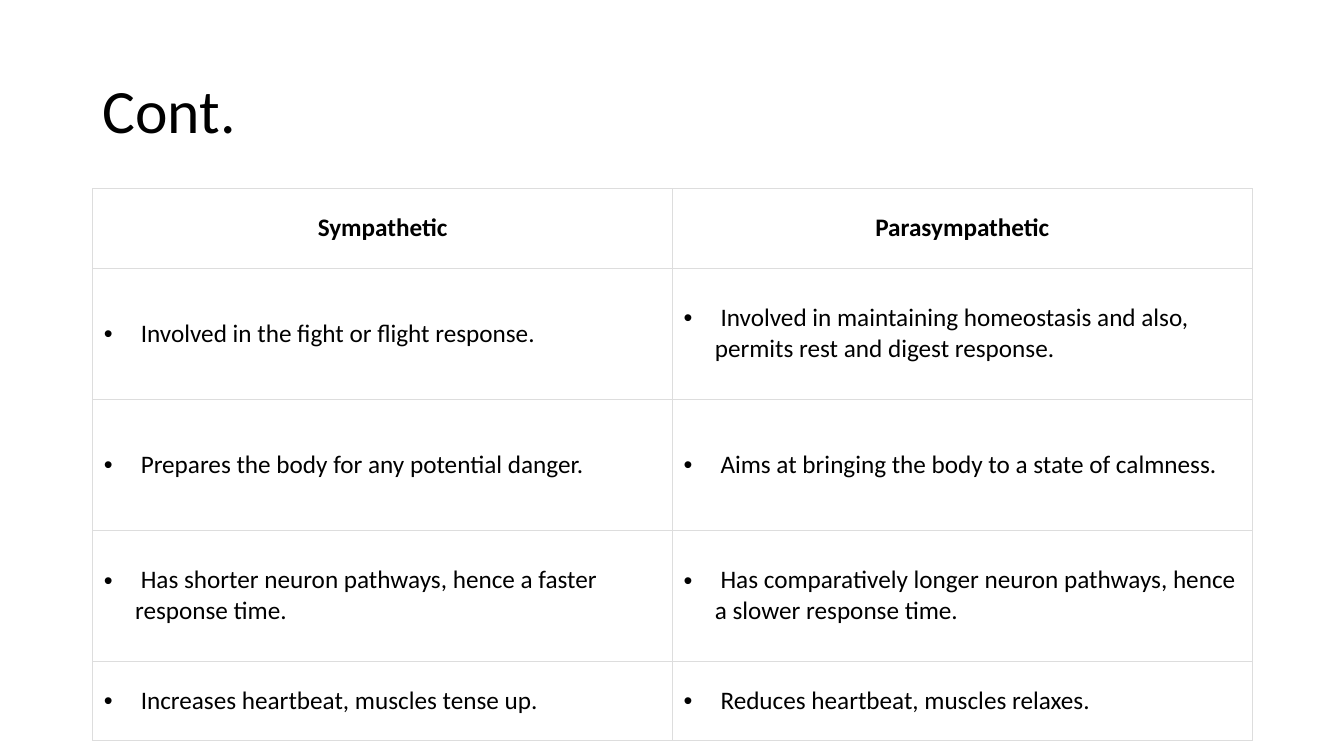
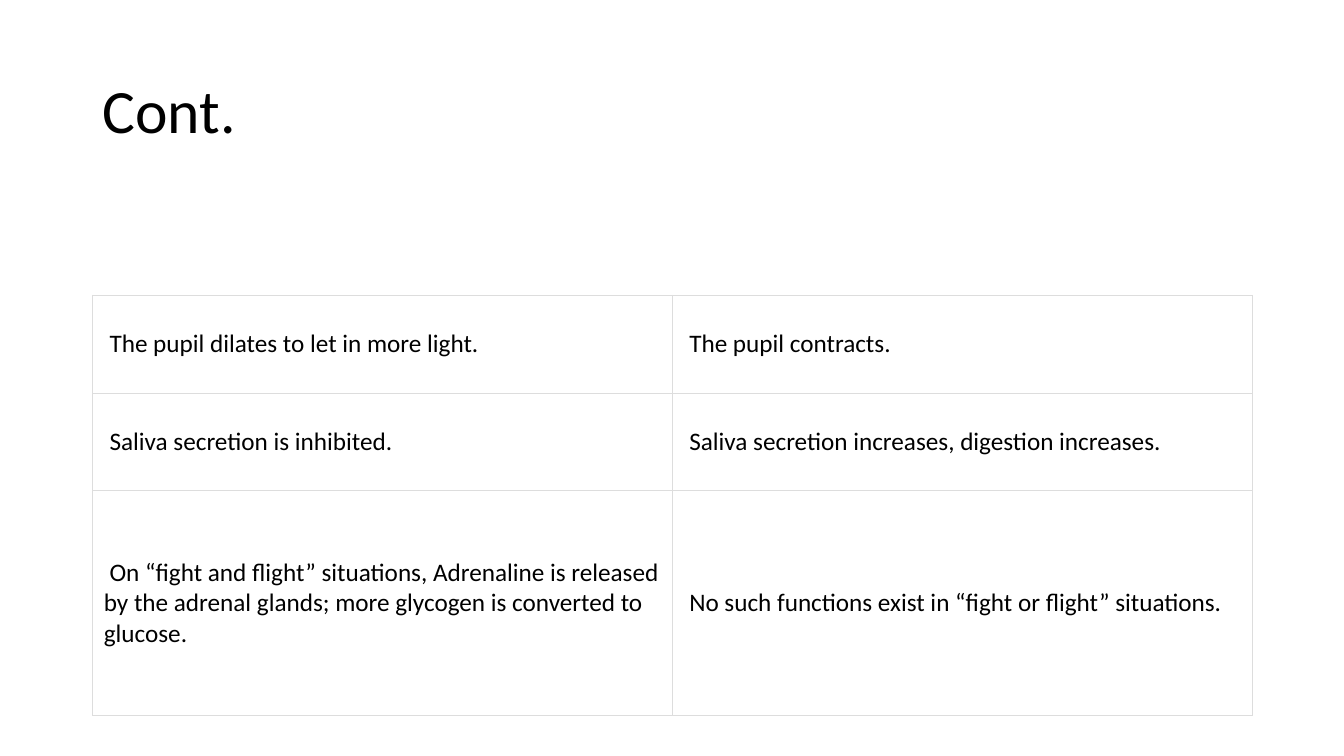
from pptx import Presentation
from pptx.dml.color import RGBColor
from pptx.enum.text import MSO_ANCHOR as Anchor, PP_ALIGN as Align
from pptx.oxml import parse_xml
from pptx.oxml.ns import nsdecls
from pptx.util import Inches, Pt

BLACK = RGBColor(0x00, 0x00, 0x00)
WHITE = RGBColor(0xFF, 0xFF, 0xFF)
RULE_GREY = RGBColor(0xDD, 0xDD, 0xDD)

LEFT, WIDTH = 0.92, 11.5
HARD_SPACE = " "

TITLE_FONT = {"name": "Calibri", "size": Pt(44), "bold": False}
BODY_FONT = {**TITLE_FONT, "size": Pt(18)}
HEADING_FONT = {**BODY_FONT, "bold": True}
CELL_FORMAT = {
    "vertical_anchor": Anchor.MIDDLE,
    "margin_left": Inches(0.11),
    "margin_right": Inches(0.11),
    "margin_top": Inches(0.08),
    "margin_bottom": Inches(0.08),
}

HEADINGS = ("Sympathetic", "Parasympathetic")
RESPONSES = [
    ("Involved in the fight or flight response.",
     "Involved in maintaining homeostasis and also, permits rest and digest response."),
    ("Prepares the body for any potential danger.",
     "Aims at bringing the body to a state of calmness."),
    ("Has shorter neuron pathways, hence a faster response time.",
     "Has comparatively longer neuron pathways, hence a slower response time."),
    ("Increases heartbeat, muscles tense up.",
     "Reduces heartbeat, muscles relaxes."),
]
EFFECTS = [
    ("The pupil dilates to let in more light.",
     "The pupil contracts."),
    ("Saliva secretion is inhibited.",
     "Saliva secretion increases, digestion increases."),
    ("On “fight and flight” situations, Adrenaline is released by the adrenal glands; "
     "more glycogen is converted to glucose.",
     "No such functions exist in “fight or flight” situations."),
]


def apply(target, settings):
    for name, value in settings.items():
        setattr(target, name, value)


class Deck:
    def __init__(self):
        self.prs = Presentation()
        self.prs.slide_width = Inches(13.33)
        self.prs.slide_height = Inches(7.5)
        self.slide = None

    def new_slide(self, heading):
        self.slide = self.prs.slides.add_slide(self.prs.slide_layouts[6])
        self.title(heading)

    def title(self, heading):
        box = self.slide.shapes.add_textbox(
            Inches(LEFT), Inches(0.4), Inches(WIDTH), Inches(1.45))
        frame = box.text_frame
        apply(frame, {"word_wrap": True, "vertical_anchor": Anchor.MIDDLE})
        line = frame.paragraphs[0]
        line.line_spacing = 0.9
        self.wording(line, heading, TITLE_FONT)

    def wording(self, paragraph, words, font):
        run = paragraph.add_run()
        run.text = words
        apply(run.font, font)
        run.font.color.rgb = BLACK

    def bullet(self, paragraph):
        properties = paragraph._p.get_or_add_pPr()
        properties.set("marL", str(Inches(0.31)))
        properties.set("indent", str(Inches(-0.31)))
        for mark in ('buFont {} typeface="Arial"', 'buChar {} char="•"'):
            properties.append(parse_xml(f"<a:{mark.format(nsdecls('a'))}/>"))

    def border(self, cell):
        properties = cell._tc.get_or_add_tcPr()
        for side in "LRTB":
            properties.append(parse_xml(
                f'<a:ln{side} {nsdecls("a")} w="{Pt(0.75)}"><a:solidFill>'
                f'<a:srgbClr val="{RULE_GREY}"/></a:solidFill></a:ln{side}>'))

    def cell(self, cell, words, heading, bulleted):
        apply(cell, CELL_FORMAT)
        self.border(cell)
        cell.fill.solid()
        cell.fill.fore_color.rgb = WHITE
        paragraph = cell.text_frame.paragraphs[0]
        if heading:
            paragraph.alignment = Align.CENTER
            self.wording(paragraph, words, HEADING_FONT)
            return
        if bulleted:
            self.bullet(paragraph)
        self.wording(paragraph, HARD_SPACE + words, BODY_FONT)

    def comparison(self, top, heights, rows, headings=None, bulleted=False):
        lines = [headings, *rows] if headings else rows
        table = self.slide.shapes.add_table(
            len(lines), 2, Inches(LEFT), Inches(top),
            Inches(WIDTH), Inches(sum(heights))).table
        apply(table, {"first_row": False, "horz_banding": False})
        for column in table.columns:
            column.width = Inches(WIDTH / 2)
        for row, height, line in zip(table.rows, heights, lines):
            row.height = Inches(height)
            for cell, words in zip(row.cells, line):
                self.cell(cell, words, line is headings, bulleted)


def main():
    deck = Deck()
    deck.new_slide("Cont.")
    deck.comparison(1.87, [0.79, 1.3, 1.3, 1.3, 0.79], RESPONSES, HEADINGS, bulleted=True)
    deck.new_slide("Cont.")
    deck.comparison(2.93, [0.97, 0.97, 2.23], EFFECTS)
    deck.prs.save("out.pptx")


if __name__ == "__main__":
    main()
